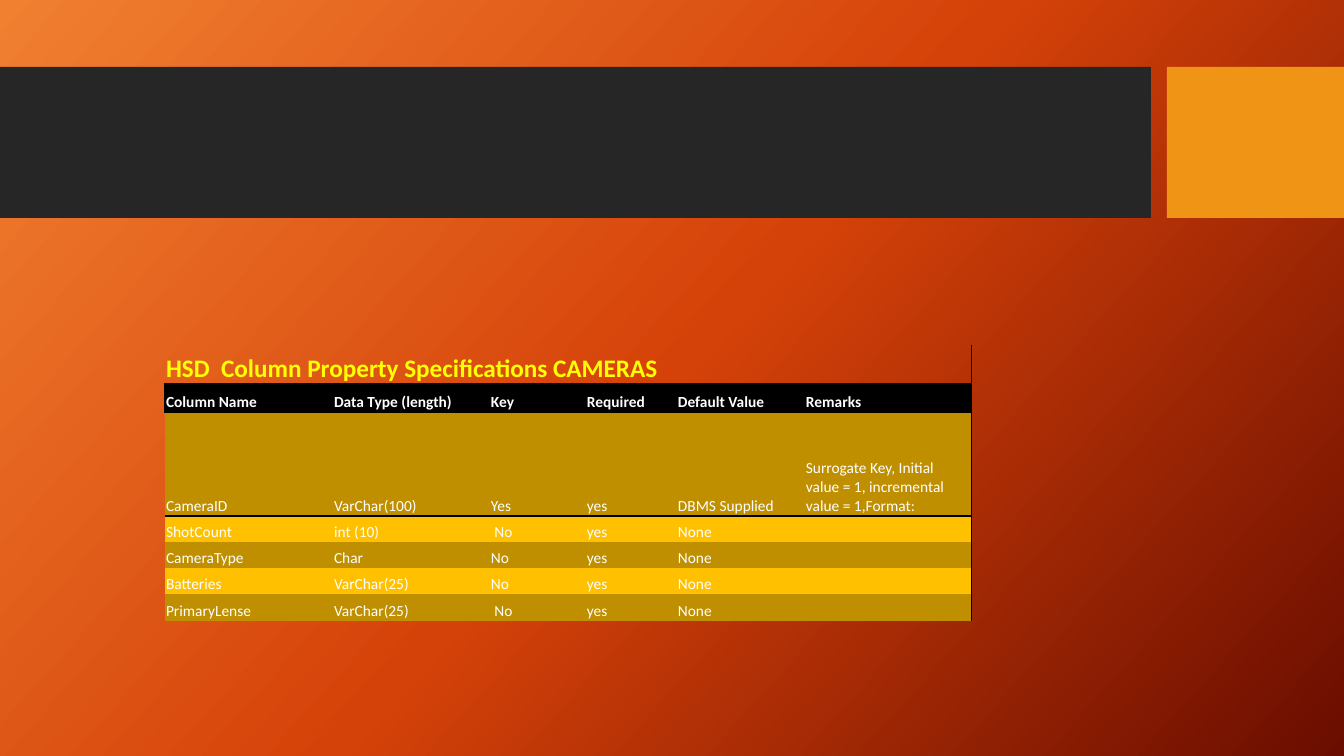
from copy import deepcopy

from lxml.etree import SubElement
from pptx import Presentation
from pptx.dml.color import RGBColor
from pptx.enum.shapes import MSO_SHAPE
from pptx.enum.text import MSO_ANCHOR
from pptx.oxml.ns import qn
from pptx.util import Pt

PIXEL = 9071  # EMU per pixel at 100.8 pixels to the inch
BLACK = RGBColor(0x00, 0x00, 0x00)
WHITE = RGBColor(0xFF, 0xFF, 0xFF)
YELLOW = RGBColor(0xFF, 0xFF, 0x00)
CHARCOAL = RGBColor(0x26, 0x26, 0x26)
AMBER = RGBColor(0xF0, 0x94, 0x15)
GOLD = RGBColor(0xFF, 0xC0, 0x00)
DARK_GOLD = RGBColor(0xBF, 0x8F, 0x00)
BACKGROUND = [RGBColor(0xF1, 0x80, 0x31), RGBColor(0xD5, 0x42, 0x09), RGBColor(0x6A, 0x0D, 0x00)]
PLAIN_TABLE = "{2D5ABB26-0587-4C30-8999-92F81FD0307C}"

TITLE = "HSD  Column Property Specifications CAMERAS"
ROWS = [
    [TITLE, "", "", "", "", ""],
    ["Column Name", "Data Type (length)", "Key", "Required", "Default Value", "Remarks"],
    ["CameraID", "VarChar(100)", "Yes", "yes", "DBMS Supplied",
     "Surrogate Key, Initial value = 1, incremental value = 1,Format: "],
    ["ShotCount", "int (10)", " No", "yes", "None", ""],
    ["CameraType", "Char", "No", "yes", "None", ""],
    ["Batteries", "VarChar(25)", "No", "yes", "None", ""],
    ["PrimaryLense", "VarChar(25)", " No", "yes", "None", ""],
]
COLUMN_WIDTHS = [168, 157, 96, 91, 128, 166]
ROW_HEIGHTS = [39, 28, 104, 26, 26, 26, 27]
LAST_COLUMN = len(COLUMN_WIDTHS) - 1


def add_border(cell, side, points):
    """Draw a black line on one side (L, R, T or B) of a cell."""
    line = SubElement(cell._tc.get_or_add_tcPr(), qn(f"a:ln{side}"), w=str(Pt(points)))
    solid = SubElement(line, qn("a:solidFill"))
    SubElement(solid, qn("a:srgbClr"), val=str(BLACK))


deck = Presentation()
deck.slide_width, deck.slide_height = 1344 * PIXEL, 756 * PIXEL
page = deck.slides.add_slide(deck.slide_layouts[6])

# Diagonal three-colour background
fill = page.background.fill
fill.gradient()
fill.gradient_angle = 360 - 42
first_stop = fill.gradient_stops[0]._gs
first_stop.addnext(deepcopy(first_stop))
for stop, color, position in zip(fill.gradient_stops, BACKGROUND, (0, 0.5, 1)):
    stop.color.rgb = color
    stop.position = position

# Title band and its accent block
for left, width, color in [(0, 1151, CHARCOAL), (1167, 177, AMBER)]:
    band = page.shapes.add_shape(
        MSO_SHAPE.RECTANGLE, left * PIXEL, 67 * PIXEL, width * PIXEL, 151 * PIXEL)
    band.shadow.inherit = False
    band.fill.solid()
    band.fill.fore_color.rgb = color
    band.line.fill.background()

# Column specification table
frame = page.shapes.add_table(
    len(ROWS), len(COLUMN_WIDTHS), 165 * PIXEL, 345 * PIXEL,
    sum(COLUMN_WIDTHS) * PIXEL, sum(ROW_HEIGHTS) * PIXEL)
table = frame.table
table._tbl.tblPr.find(qn("a:tableStyleId")).text = PLAIN_TABLE
table.first_row = table.horz_banding = False
for column, width in zip(table.columns, COLUMN_WIDTHS):
    column.width = width * PIXEL
for row, height in zip(table.rows, ROW_HEIGHTS):
    row.height = height * PIXEL
table.cell(0, 0).merge(table.cell(0, LAST_COLUMN))

cell_format = {"margin_left": PIXEL, "margin_right": PIXEL, "margin_top": PIXEL,
               "margin_bottom": 0, "vertical_anchor": MSO_ANCHOR.BOTTOM}
for row_index, texts in enumerate(ROWS):
    is_title, is_header = row_index == 0, row_index == 1
    size = Pt(18 if is_title else 11)
    for column_index, text in enumerate(texts):
        cell = table.cell(row_index, column_index)
        for name, value in cell_format.items():
            setattr(cell, name, value)

        if is_header:
            add_border(cell, "L", 0.5 if column_index else 1)
        if is_title or is_header or column_index == LAST_COLUMN:
            add_border(cell, "R", 0.5)
        if row_index in (1, 2):
            add_border(cell, "T", 1)
        if row_index in (0, 1):
            add_border(cell, "B", 1)

        if is_title:
            cell.fill.background()
        else:
            cell.fill.solid()
            band_color = GOLD if row_index % 2 else DARK_GOLD
            cell.fill.fore_color.rgb = BLACK if is_header else band_color

        para = cell.text_frame.paragraphs[0]
        if text:
            span = para.add_run()
            span.text = text
            span.font.color.rgb = YELLOW if is_title else WHITE
            font_format = {"name": "Calibri", "size": size, "bold": is_title or is_header}
            for name, value in font_format.items():
                setattr(span.font, name, value)
        else:
            SubElement(para._p, qn("a:endParaRPr"), sz=str(size.centipoints))

deck.save("out.pptx")
